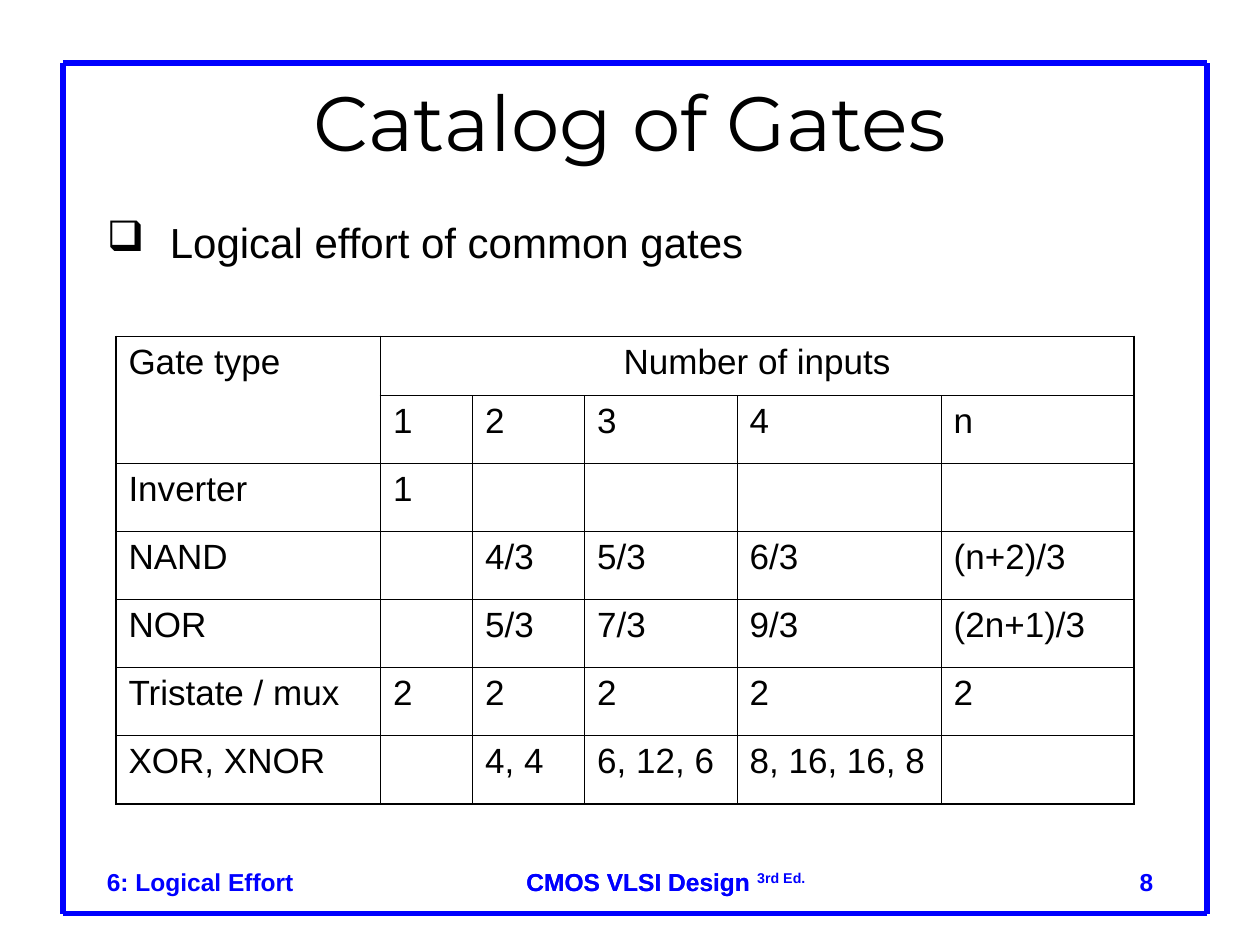
from dataclasses import dataclass

from lxml import etree
from pptx import Presentation
from pptx.dml.color import RGBColor
from pptx.enum.shapes import MSO_CONNECTOR
from pptx.enum.text import MSO_ANCHOR, PP_ALIGN
from pptx.oxml.ns import qn
from pptx.util import Inches, Pt


@dataclass(frozen=True)
class Theme:
    ink: str = "000000"
    accent: str = "0000FF"
    body_font: str = "Arial"
    title_font: str = "Montserrat"
    title: int = 44
    bullet: int = 24
    cell: int = 20
    footer: int = 14
    frame_line: float = 3
    thin_line: float = 0.45
    heavy_line: float = 1.08


THEME = Theme()

TITLE = "Catalog of Gates"
BULLET = "Logical effort of common gates"
COURSE = "CMOS VLSI Design"
# Runs of (text, superscript), box, alignment
FOOTERS = [
    ([(COURSE, False)], (4.08, 6.83, 2.42, 0.34), PP_ALIGN.LEFT),
    ([(COURSE + " ", False), ("3rd Ed.", True)], (4.08, 6.83, 2.5, 0.34), PP_ALIGN.LEFT),
    ([("6: Logical Effort", False)], (0.75, 6.83, 8.5, 0.5), PP_ALIGN.LEFT),
    ([("8", False)], (7.17, 6.83, 2.08, 0.5), PP_ALIGN.RIGHT),
]

GATES = [
    ["Gate type", "Number of inputs", "", "", "", ""],
    ["", "1", "2", "3", "4", "n"],
    ["Inverter", "1", "", "", "", ""],
    ["NAND", "", "4/3", "5/3", "6/3", "(n+2)/3"],
    ["NOR", "", "5/3", "7/3", "9/3", "(2n+1)/3"],
    ["Tristate / mux", "2", "2", "2", "2", "2"],
    ["XOR, XNOR", "", "4, 4", "6, 12, 6", "8, 16, 16, 8", ""],
]
COL_WIDTHS = [2.1, 0.73, 0.89, 1.21, 1.62, 1.53]
ROW_HEIGHTS = [0.47] + [0.54] * 6
HEAVY_ROWS = {0, 2, len(ROW_HEIGHTS)}
HEAVY_COLS = {0, 1, len(COL_WIDTHS)}

LEFT, TOP, RIGHT, BOTTOM = 0.5, 0.5, 9.58, 7.25


def style(font, size, color=THEME.ink, name=THEME.body_font, bold=False):
    font.size, font.name, font.bold = Pt(size), name, bold
    font.color.rgb = RGBColor.from_string(color)


def add_text_box(slide, box):
    tf = slide.shapes.add_textbox(*map(Inches, box)).text_frame
    tf.word_wrap = True
    return tf


def add_run(p, text, size, **look):
    r = p.add_run()
    r.text = text
    style(r.font, size, **look)
    return r


def add_frame(slide):
    corners = [(LEFT, TOP), (RIGHT, TOP), (RIGHT, BOTTOM), (LEFT, BOTTOM)]
    for start, end in zip(corners, corners[1:] + corners[:1]):
        line = slide.shapes.add_connector(
            MSO_CONNECTOR.STRAIGHT, *map(Inches, start + end))
        line.line.color.rgb = RGBColor.from_string(THEME.accent)
        line.line.width = Pt(THEME.frame_line)
        etree.SubElement(line._element.spPr, qn("a:effectLst"))


def add_footers(slide):
    for runs, box, align in FOOTERS:
        p = add_text_box(slide, box).paragraphs[0]
        p.alignment = align
        for text, raised in runs:
            r = add_run(p, text, THEME.footer, color=THEME.accent, bold=True)
            if raised:
                r.font._element.set("baseline", "30000")


def add_title(slide):
    tf = add_text_box(slide, (0.75, 0.58, 8.5, 0.75))
    tf.vertical_anchor = MSO_ANCHOR.MIDDLE
    p = tf.paragraphs[0]
    p.alignment = PP_ALIGN.CENTER
    add_run(p, TITLE, THEME.title, name=THEME.title_font)


def add_bullet(slide):
    p = add_text_box(slide, (0.75, 1.67, 8.5, 5)).paragraphs[0]
    pPr = p._p.get_or_add_pPr()
    indent = Inches(0.5)
    pPr.set("marL", str(indent))
    pPr.set("indent", str(-indent))
    color = etree.SubElement(pPr, qn("a:buClr"))
    etree.SubElement(color, qn("a:srgbClr"), val=THEME.ink)
    etree.SubElement(pPr, qn("a:buChar"), char="❑")
    add_run(p, BULLET, THEME.bullet)


def set_borders(cell, row, col):
    """Draw heavy rules round the table, its header rows and its first column."""
    end_row = row + (cell.span_height if cell.is_merge_origin else 1)
    end_col = col + (cell.span_width if cell.is_merge_origin else 1)
    sides = {"L": col in HEAVY_COLS, "R": end_col in HEAVY_COLS,
             "T": row in HEAVY_ROWS, "B": end_row in HEAVY_ROWS}
    tcPr = cell._tc.get_or_add_tcPr()
    for side, heavy in sides.items():
        width = Pt(THEME.heavy_line if heavy else THEME.thin_line)
        ln = etree.SubElement(tcPr, qn(f"a:ln{side}"), w=str(width))
        fill = etree.SubElement(ln, qn("a:solidFill"))
        etree.SubElement(fill, qn("a:srgbClr"), val=THEME.ink)


def add_gate_table(slide):
    table = slide.shapes.add_table(
        len(ROW_HEIGHTS), len(COL_WIDTHS), Inches(0.92), Inches(2.67),
        Inches(sum(COL_WIDTHS)), Inches(sum(ROW_HEIGHTS))).table
    table.first_row = table.horz_banding = False
    for column, width in zip(table.columns, COL_WIDTHS):
        column.width = Inches(width)
    for row, height in zip(table.rows, ROW_HEIGHTS):
        row.height = Inches(height)
    table.cell(0, 0).merge(table.cell(1, 0))
    table.cell(0, 1).merge(table.cell(0, len(COL_WIDTHS) - 1))

    for i, texts in enumerate(GATES):
        for j, text in enumerate(texts):
            cell = table.cell(i, j)
            set_borders(cell, i, j)
            cell.fill.background()
            if text:
                add_run(cell.text_frame.paragraphs[0], text, THEME.cell)
    table.cell(0, 1).text_frame.paragraphs[0].alignment = PP_ALIGN.CENTER


def main():
    prs = Presentation()
    prs.slide_width, prs.slide_height = Inches(10), Inches(7.5)
    slide = prs.slides.add_slide(prs.slide_layouts[6])
    add_frame(slide)
    add_footers(slide)
    add_title(slide)
    add_gate_table(slide)
    add_bullet(slide)
    prs.save("out.pptx")


if __name__ == "__main__":
    main()
